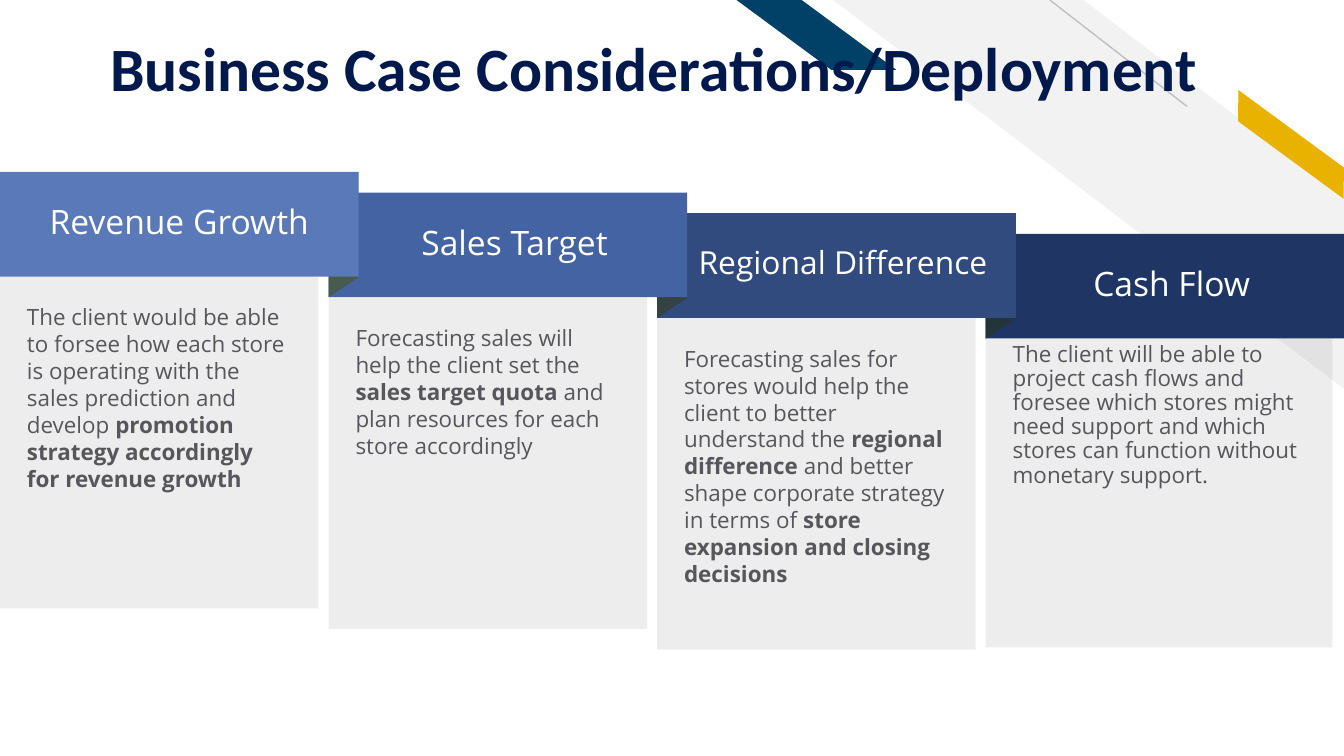
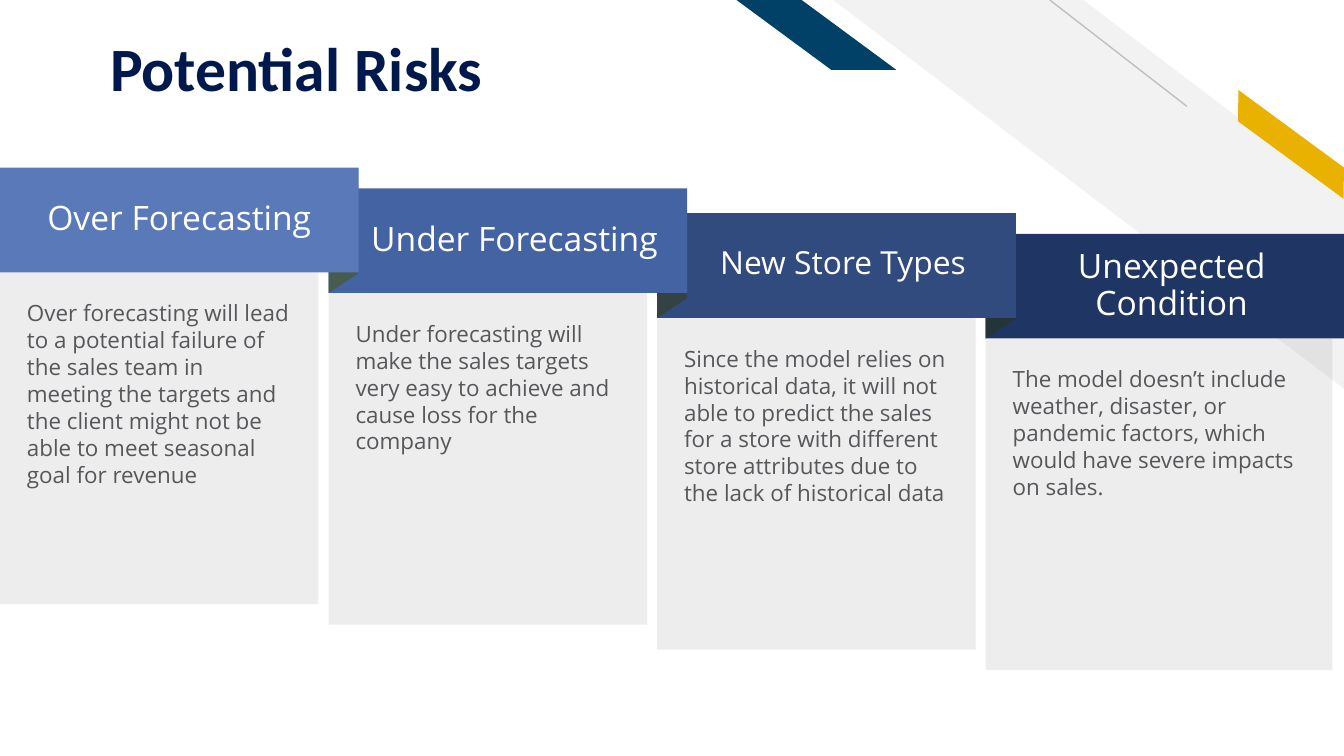
from pptx import Presentation
from pptx.dml.color import RGBColor
from pptx.enum import shapes, text
from pptx.oxml.xmlchemy import OxmlElement
from pptx.util import Cm, Pt

COLORS = {
    "navy": "00194C", "white": "FFFFFF", "gray": "57565A",
    "stripe": "F2F2F2", "hairline": "BFBFBF", "gold": "EAB200", "teal": "014067",
}
BANNER_COLORS = ["5979B9", "4463A2", "324B7E", "1F3665"]
FOLD_COLORS = [None, "475B4F", "344243", "24353A"]
HEADING_SIZES = [18, 18, 17, 18]

SLIDES = [
    {
        "title": "Business Case Considerations/Deployment",
        "cards": [
            {"heading": "Revenue Growth",
             "body": "The client would be able to forsee how each store is operating with "
                     "the sales prediction and develop *promotion strategy accordingly for "
                     "revenue growth*"},
            {"heading": "Sales Target",
             "body": "Forecasting sales will help the client set the *sales target quota *"
                     "and plan resources for each store accordingly"},
            {"heading": "Regional Difference",
             "body": "Forecasting sales for stores would help the client to better understand "
                     "the *regional difference* and better shape corporate strategy in terms "
                     "of *store expansion and closing decisions*"},
            {"heading": "Cash Flow", "tuck": 0.43, "spacing": 0.9,
             "body": "The client will be able to project cash flows and foresee which stores "
                     "might need support and which stores can function without monetary "
                     "support."},
        ],
    },
    {
        "title": "Potential Risks",
        "cards": [
            {"heading": "Over Forecasting", "lift": 0.08,
             "body": "Over forecasting will lead to a potential failure of the sales team in "
                     "meeting the targets and the client might not be able to meet seasonal "
                     "goal for revenue"},
            {"heading": "Under Forecasting", "lift": 0.08,
             "body": "Under forecasting will make the sales targets very easy to achieve and "
                     "cause loss for the company"},
            {"heading": "New Store Types",
             "body": "Since the model relies on historical data, it will not able to predict "
                     "the sales for a store with different store attributes due to the lack "
                     "of historical data"},
            {"heading": "Unexpected Condition", "anchor": text.MSO_ANCHOR.MIDDLE,
             "body": "The model doesn’t include weather, disaster, or pandemic factors, which "
                     "would have severe impacts on sales."},
        ],
    },
]

SLIDE_W, SLIDE_H = 25.4, 14.29
FIRST_TOP, STEP_DOWN, COLUMN_PITCH = 3.25, 0.39, 6.21
BANNER_W, BANNER_H = 6.78, 1.98
BODY_W, LAST_BODY_W, BODY_H = 6.02, 6.55, 6.27
FOLD_LENGTH, FOLD_W = 2.34, 0.56


def write(shape, words, size, color, font="Open Sans", bold=False, spacing=1.0,
          align=text.PP_ALIGN.LEFT, anchor=text.MSO_ANCHOR.TOP, insets=(0.51,) * 4):
    frame = shape.text_frame
    frame.word_wrap = True
    frame.auto_size = text.MSO_AUTO_SIZE.NONE
    frame.vertical_anchor = anchor
    frame.margin_left, frame.margin_top, frame.margin_right, frame.margin_bottom = map(Cm, insets)
    paragraph = frame.paragraphs[0]
    paragraph.alignment = align
    paragraph.line_spacing = spacing
    paragraph.space_before = Pt(0)
    for index, part in enumerate(words.split("*")):
        if part:
            run = paragraph.add_run()
            run.text = part
            run.font.name = font
            run.font.size = Pt(size)
            run.font.bold = bold or index % 2 == 1
            run.font.color.rgb = RGBColor.from_string(color)


def draw(slide, preset, box, color, adjust=None, rotation=0, opacity=None):
    shape = slide.shapes.add_shape(preset, *map(Cm, box))
    shape.shadow.inherit = False
    shape.fill.solid()
    shape.fill.fore_color.rgb = RGBColor.from_string(color)
    shape.line.fill.background()
    shape.rotation = rotation
    if adjust is not None:
        shape.adjustments[0] = adjust
        shape.element.spPr.xfrm.set("flipH", "1")
    if opacity is not None:
        alpha = OxmlElement("a:alpha")
        alpha.set("val", str(opacity * 1000))
        shape.element.spPr.find(".//{*}srgbClr").append(alpha)
    return shape


def decorate(layout, slide):
    preset = shapes.MSO_SHAPE
    stripe = draw(slide, preset.DIAGONAL_STRIPE, (15.75, 0, 9.68, 7.37),
                  COLORS["stripe"], adjust=0.512)
    hairline = slide.shapes.add_connector(
        shapes.MSO_CONNECTOR.STRAIGHT, Cm(22.43), Cm(2.01), Cm(19.84), Cm(0))
    hairline.line.color.rgb = RGBColor.from_string(COLORS["hairline"])
    hairline.line.width = Pt(0.75)
    hairline.element.spPr.append(OxmlElement("a:effectLst"))
    gold = draw(slide, preset.PARALLELOGRAM, (22.99, 2.49, 2.82, 0.48),
                COLORS["gold"], adjust=0.72, rotation=36.3)
    teal = draw(slide, preset.PARALLELOGRAM, (13.92, 0, 3.02, 1.32),
                COLORS["teal"], adjust=1.356)
    for ornament in (stripe, hairline, gold, teal):
        layout.shapes.element.append(ornament.element)


def add_title(slide, words):
    title = slide.shapes.title
    title.left, title.top, title.width, title.height = map(Cm, (1.9, 0.51, 21.59, 1.7))
    write(title, words, 33, COLORS["navy"], font="Calibri", bold=True, spacing=0.9,
          anchor=text.MSO_ANCHOR.MIDDLE, insets=(0.18, 0.1, 0.18, 0.1))


def add_card(slide, column, card, is_last):
    rect = shapes.MSO_SHAPE.RECTANGLE
    left = column * COLUMN_PITCH
    top = FIRST_TOP + column * STEP_DOWN - card.get("lift", 0)
    bottom = top + BANNER_H
    body = draw(slide, rect,
                (left, bottom - card.get("tuck", 0), LAST_BODY_W if is_last else BODY_W, BODY_H),
                COLORS["gray"], opacity=10)
    write(body, card["body"], 12, COLORS["gray"], spacing=card.get("spacing", 1.0))
    banner = draw(slide, rect, (left, top, BANNER_W, BANNER_H), BANNER_COLORS[column])
    write(banner, card["heading"], HEADING_SIZES[column], COLORS["white"], spacing=0.9,
          align=text.PP_ALIGN.CENTER, anchor=card.get("anchor", text.MSO_ANCHOR.TOP),
          insets=(0.76 if column else 0.51, 0.64, 0.51, 0.64))
    if column:
        draw(slide, shapes.MSO_SHAPE.PARALLELOGRAM,
             (left + (FOLD_W - FOLD_LENGTH) / 2, bottom - (FOLD_LENGTH + FOLD_W) / 2,
              FOLD_LENGTH, FOLD_W),
             FOLD_COLORS[column], adjust=0.661, rotation=270)


def main():
    deck = Presentation()
    deck.slide_width, deck.slide_height = Cm(SLIDE_W), Cm(SLIDE_H)
    layout = deck.slide_layouts[5]
    for number, content in enumerate(SLIDES):
        slide = deck.slides.add_slide(layout)
        if number == 0:
            decorate(layout, slide)
        add_title(slide, content["title"])
        cards = content["cards"]
        for column in reversed(range(len(cards))):
            add_card(slide, column, cards[column], column == len(cards) - 1)
    deck.save("out.pptx")


if __name__ == "__main__":
    main()
